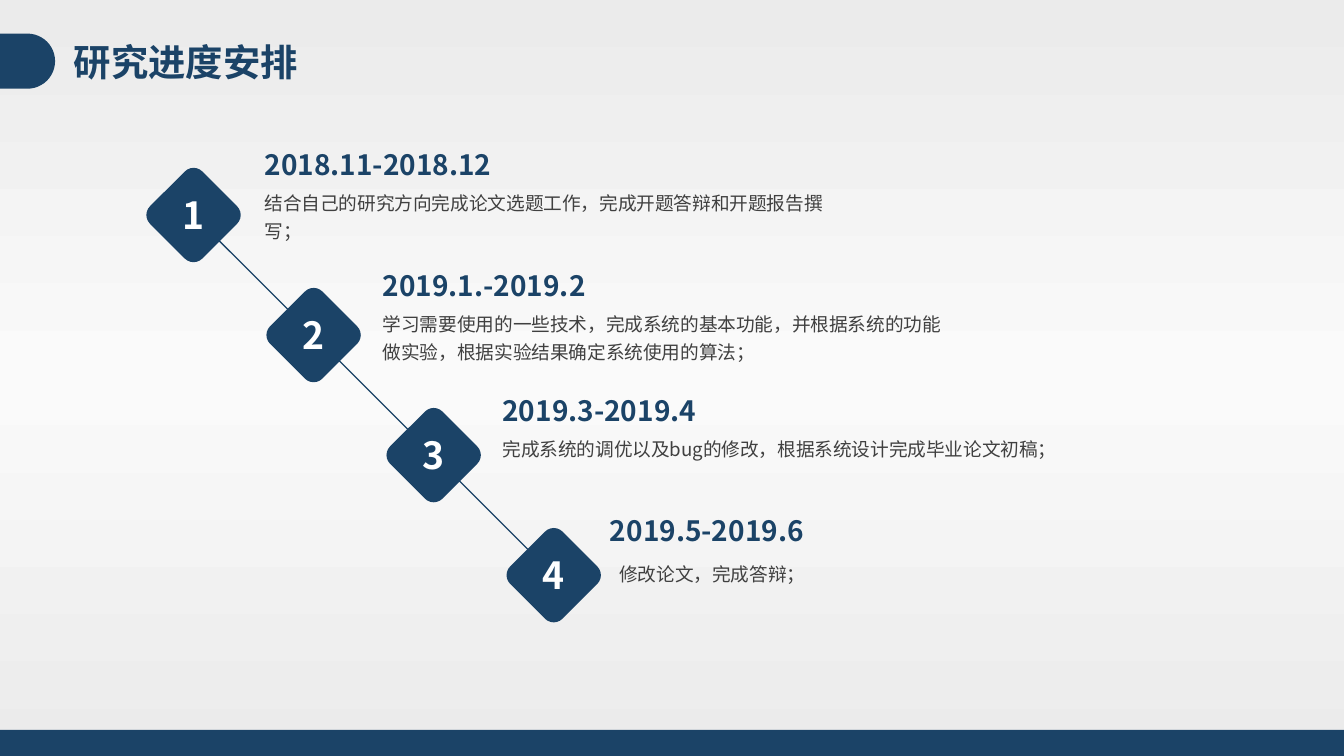
from copy import deepcopy

from pptx import Presentation
from pptx.dml.color import RGBColor
from pptx.enum import shapes, text
from pptx.oxml.ns import qn
from pptx.util import Inches, Pt

FONT = "Noto Sans CJK SC"
COLORS = {"navy": "1B4367", "body": "404040", "white": "FFFFFF",
          "edge": "EBEBEB", "middle": "FAFAFA"}
SLIDE_WIDTH = 10
SLIDE_HEIGHT = SLIDE_WIDTH * 9 / 16
FOOTER_TOP = 5.43
TITLE = "研究进度安排"
# period, its left and top, its width; task, its left and top, its height
STAGES = [
    ("2018.11-2018.12", 1.87, 1.05, 1.95,
     "结合自己的研究方向完成论文选题工作，完成开题答辩和开题报告撰写；", 1.87, 1.34, 0.52),
    ("2019.1.-2019.2", 2.75, 1.95, 1.75,
     "学习需要使用的一些技术，完成系统的基本功能，并根据系统的功能做实验，根据实验结果确定系统使用的算法；",
     2.75, 2.24, 0.52),
    ("2019.3-2019.4", 3.64, 2.88, 1.69,
     "完成系统的调优以及bug的修改，根据系统设计完成毕业论文初稿；", 3.64, 3.17, 0.31),
    ("2019.5-2019.6", 4.44, 3.77, 1.69,
     "修改论文，完成答辩；", 4.51, 4.1, 0.31),
]
FIRST_CENTER, LAST_CENTER = (1.44, 1.6), (4.12, 4.28)
DIAMOND = 0.55
NUMBER_WIDTH, NUMBER_HEIGHT = 0.38, 0.44
TASK_WIDTH = 4.42


def color(name):
    return RGBColor.from_string(COLORS[name])


def add_background(slide):
    fill = slide.background.fill
    fill.gradient()
    fill.gradient_angle = 270
    stop_list = slide.element.find(".//" + qn("a:gsLst"))
    stop_list.insert(1, deepcopy(stop_list[0]))
    for index, (stop, name) in enumerate(zip(fill.gradient_stops, ("edge", "middle", "edge"))):
        stop.position = index / 2
        stop.color.rgb = color(name)


def add_block(slide, kind, left, top, width, height, rotation=0):
    shape = slide.shapes.add_shape(kind, Inches(left), Inches(top), Inches(width), Inches(height))
    shape.shadow.inherit = False
    shape.fill.solid()
    shape.fill.fore_color.rgb = color("navy")
    shape.line.fill.background()
    shape.rotation = rotation


def add_text(slide, words, left, top, width, height, size, color_name,
             bold=True, wrap=False, line_spacing=None):
    box = slide.shapes.add_textbox(Inches(left), Inches(top), Inches(width), Inches(height))
    frame = box.text_frame
    frame.text = words
    frame.word_wrap = wrap
    frame.auto_size = text.MSO_AUTO_SIZE.SHAPE_TO_FIT_TEXT
    paragraph = frame.paragraphs[0]
    paragraph.line_spacing = line_spacing
    font = paragraph.runs[0].font
    font.size, font.bold, font.name = Pt(size), bold, FONT
    font.color.rgb = color(color_name)
    latin = font._element.find(qn("a:latin"))
    latin.addnext(latin.makeelement(qn("a:ea"), {"typeface": FONT}))


def add_timeline(slide):
    line = slide.shapes.add_connector(
        shapes.MSO_CONNECTOR.STRAIGHT, *map(Inches, FIRST_CENTER + LAST_CENTER))
    line.line.color.rgb = color("navy")
    line.line.width = Pt(0.75)
    properties = line._element.spPr
    properties.append(properties.makeelement(qn("a:effectLst"), {}))

    for index, stage in enumerate(STAGES):
        period, period_left, period_top, period_width, task, task_left, task_top, task_height = stage
        x, y = (first + (last - first) * index / (len(STAGES) - 1)
                for first, last in zip(FIRST_CENTER, LAST_CENTER))
        add_block(slide, shapes.MSO_SHAPE.ROUNDED_RECTANGLE,
                  x - DIAMOND / 2, y - DIAMOND / 2, DIAMOND, DIAMOND, rotation=45)
        add_text(slide, str(index + 1), x - NUMBER_WIDTH / 2 + 0.01, y - NUMBER_HEIGHT / 2,
                 NUMBER_WIDTH, NUMBER_HEIGHT, 20, "white")
        add_text(slide, period, period_left, period_top, period_width, 0.35, 15, "navy")
        add_text(slide, task, task_left, task_top, TASK_WIDTH, task_height, 10, "body",
                 bold=False, wrap=True, line_spacing=Pt(15))


def main():
    presentation = Presentation()
    presentation.slide_width = Inches(SLIDE_WIDTH)
    presentation.slide_height = Inches(SLIDE_HEIGHT)
    slide = presentation.slides.add_slide(presentation.slide_layouts[6])
    add_background(slide)
    add_block(slide, shapes.MSO_SHAPE.RECTANGLE,
              0, FOOTER_TOP, SLIDE_WIDTH, SLIDE_HEIGHT - FOOTER_TOP)
    add_block(slide, shapes.MSO_SHAPE.FLOWCHART_DELAY, 0, 0.25, 0.41, 0.41)
    add_text(slide, TITLE, 0.45, 0.24, 1.87, 0.44, 20, "navy")
    add_timeline(slide)
    presentation.save("out.pptx")


if __name__ == "__main__":
    main()
